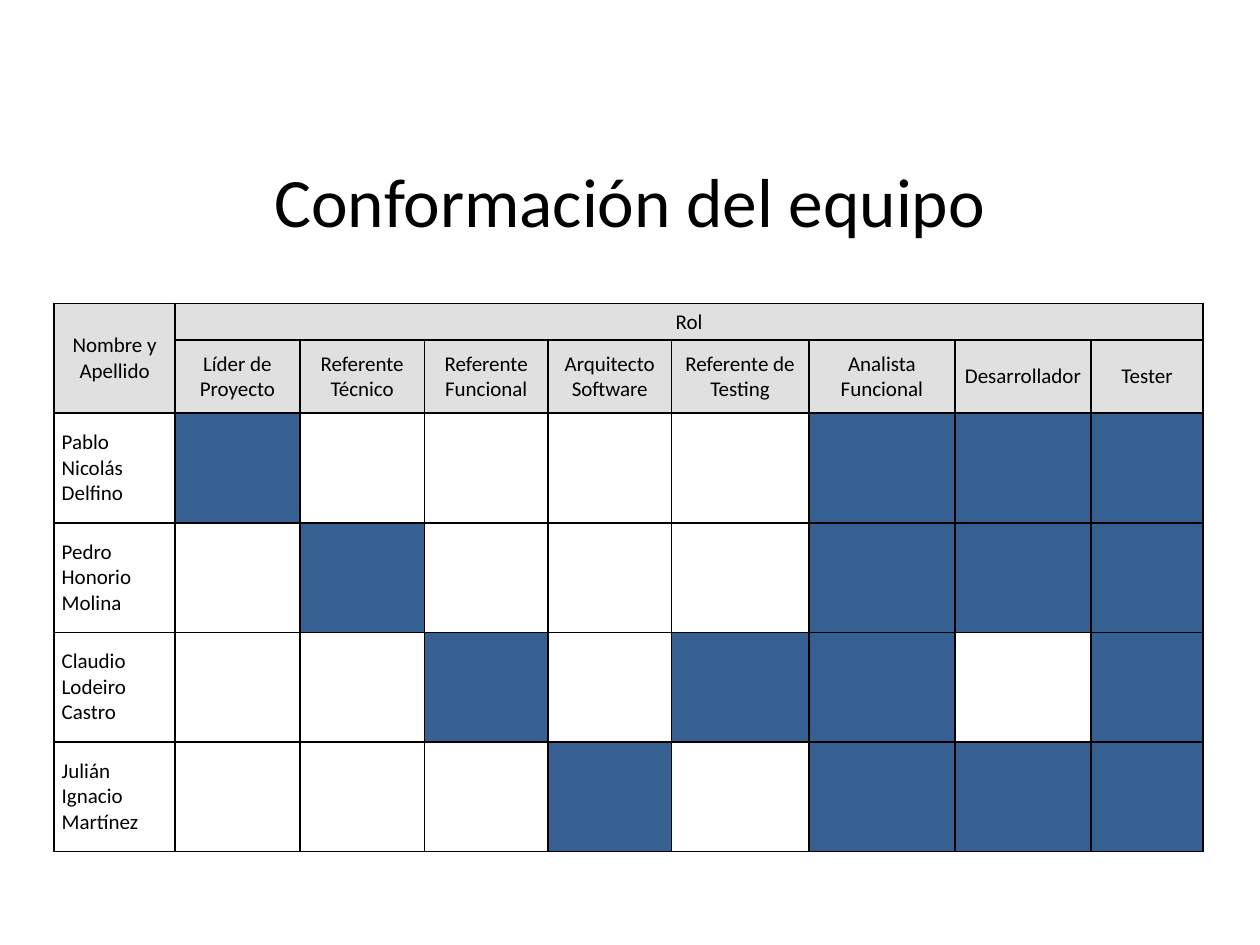
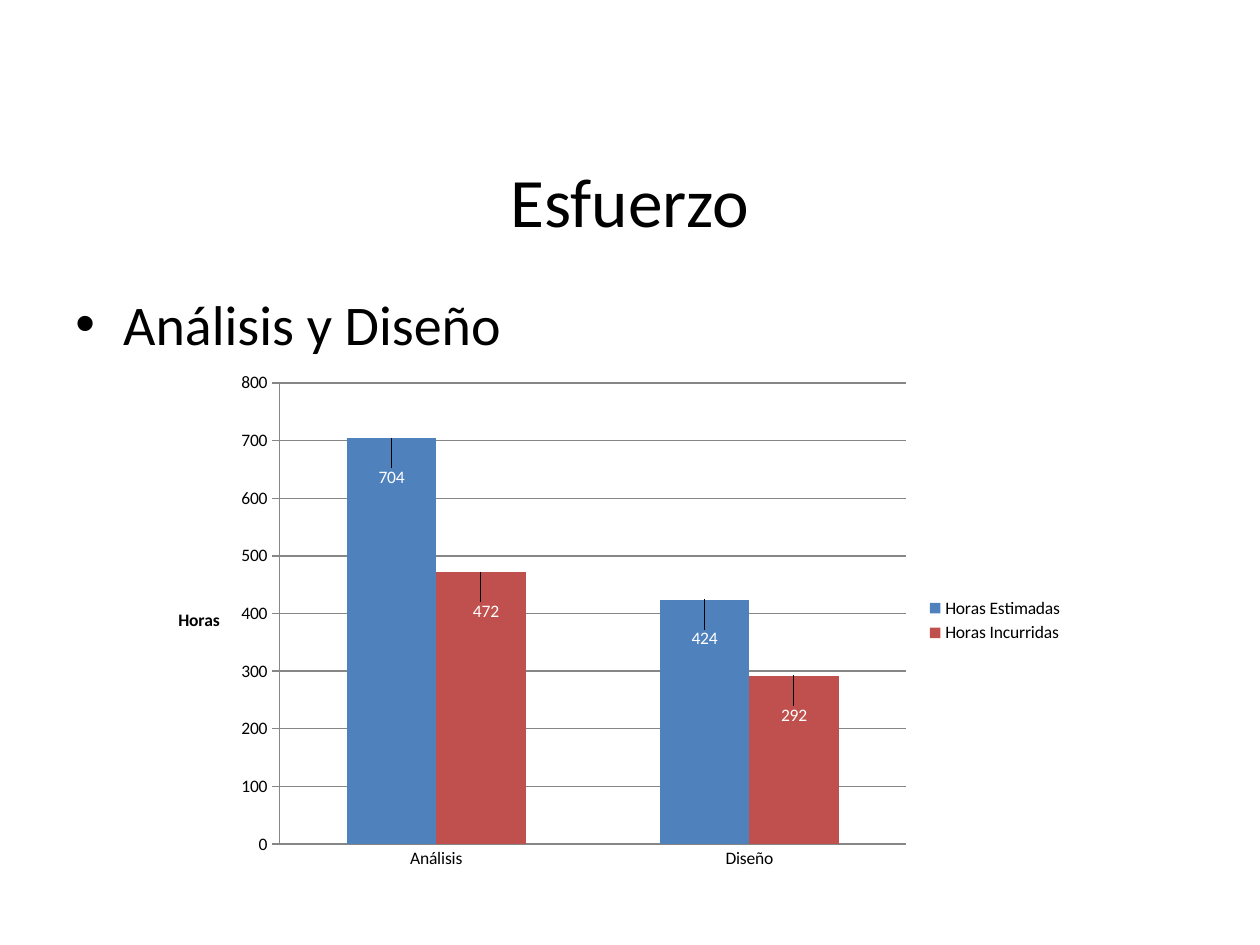
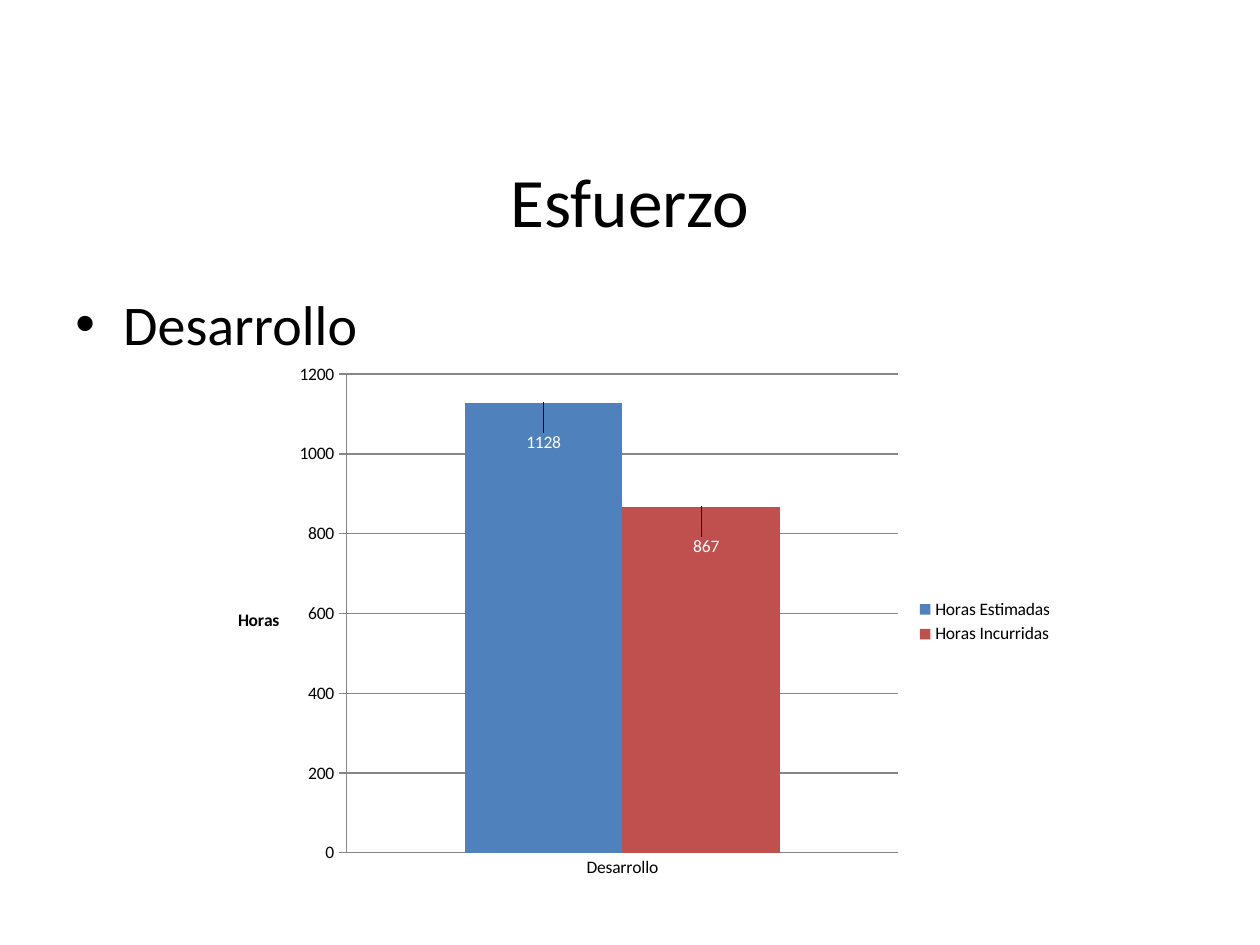
from lxml import etree
from pptx import Presentation
from pptx.chart.data import CategoryChartData
from pptx.dml.color import RGBColor
from pptx.enum.chart import XL_CHART_TYPE, XL_LABEL_POSITION, XL_LEGEND_POSITION, XL_TICK_MARK
from pptx.enum.text import MSO_ANCHOR, MSO_AUTO_SIZE, PP_ALIGN
from pptx.oxml.ns import qn
from pptx.util import Inches, Pt

BLACK = RGBColor(0x00, 0x00, 0x00)
WHITE = RGBColor(0xFF, 0xFF, 0xFF)
HEADER_GRAY = RGBColor(0xE0, 0xE0, 0xE0)
ROLE_BLUE = RGBColor(0x37, 0x60, 0x92)
AXIS_GRAY = RGBColor(0x86, 0x86, 0x86)
SERIES_COLORS = (RGBColor(0x4F, 0x81, 0xBD), RGBColor(0xC0, 0x50, 0x4D))

CENTER, JUSTIFY, LEFT = PP_ALIGN.CENTER, PP_ALIGN.JUSTIFY, PP_ALIGN.LEFT
MIDDLE, TOP = MSO_ANCHOR.MIDDLE, MSO_ANCHOR.TOP
NO_AUTOFIT = MSO_AUTO_SIZE.NONE
CLUSTERED = XL_CHART_TYPE.COLUMN_CLUSTERED
OUTSIDE_END = XL_LABEL_POSITION.OUTSIDE_END
LEGEND_RIGHT = XL_LEGEND_POSITION.RIGHT
TICK_NONE, TICK_CROSS = XL_TICK_MARK.NONE, XL_TICK_MARK.CROSS

TITLE_ONLY = 5
BORDER_TAGS = ("a:lnL", "a:lnR", "a:lnT", "a:lnB")
LABEL_DROP = 0.43
LABEL_SHIFT = 0.04

COLUMN_WIDTHS = (0.96, 0.99, 0.99, 0.98, 0.98, 1.09, 1.16, 1.08, 0.89)
ROW_HEIGHTS = (0.29, 0.58) + (0.87,) * 4
ROLES = ("Líder de Proyecto", "Referente Técnico", "Referente Funcional",
         "Arquitecto Software", "Referente de Testing", "Analista Funcional",
         "Desarrollador", "Tester")
TEAM = (
    ("Pablo\nNicolás\nDelfino", (1, 6, 7, 8)),
    ("Pedro\nHonorio\nMolina", (2, 6, 7, 8)),
    ("Claudio\nLodeiro\nCastro", (3, 5, 6, 8)),
    ("Julián\nIgnacio\nMartínez", (4, 6, 7, 8)),
)
EFFORTS = (
    {"topic": "Análisis y Diseño", "categories": ("Análisis", "Diseño"),
     "estimated": (704, 424), "incurred": (472, 292),
     "box": (1.22, 2.88, 7.32, 4.09), "plot": (2.22, 3.04, 4.97, 3.66)},
    {"topic": "Desarrollo", "categories": ("Desarrollo",),
     "estimated": (1128,), "incurred": (867,),
     "box": (1.69, 2.81, 6.77, 4.25), "plot": (2.75, 2.97, 4.38, 3.8)},
)


def set_values(target, values):
    """Set the attributes of an object from a dict."""
    for name, value in values.items():
        setattr(target, name, value)


def manual_layout(**values):
    """Return a chart layout element with the given values."""
    layout = etree.Element(qn("c:layout"))
    manual = etree.SubElement(layout, qn("c:manualLayout"))
    for name, value in values.items():
        etree.SubElement(manual, qn(f"c:{name}")).set("val", str(value))
    return layout


class Deck:
    """Hold the style and the current slide."""

    font_name = "Calibri"

    def __init__(self):
        """Start an empty presentation."""
        self.presentation = Presentation()
        set_values(self.presentation, {"slide_width": Inches(10), "slide_height": Inches(7.5)})
        self.slide = None

    def format_font(self, font, size, color=BLACK, bold=False):
        """Apply the shared typeface with a size and colour."""
        set_values(font, {"name": self.font_name, "size": Pt(size), "bold": bold})
        font.color.rgb = color

    def fill_text(self, frame, text, size, alignment):
        """Put in formatted text with one paragraph per line."""
        frame.text = text
        for paragraph in frame.paragraphs:
            paragraph.alignment = alignment
            self.format_font(paragraph.runs[0].font, size)

    def add_slide(self, title):
        """Add a slide and place its title."""
        layout = self.presentation.slide_layouts[TITLE_ONLY]
        self.slide = self.presentation.slides.add_slide(layout)
        shape = self.slide.shapes.title
        set_values(shape, {"left": Inches(0.5), "top": Inches(1.31),
                           "width": Inches(9), "height": Inches(0.55)})
        set_values(shape.text_frame, {"word_wrap": True, "auto_size": NO_AUTOFIT,
                                      "vertical_anchor": MIDDLE})
        self.fill_text(shape.text_frame, title, 39.6, CENTER)

    def add_bullet(self, text):
        """Add the bulleted topic below the title."""
        shape = self.slide.shapes.add_textbox(Inches(0.5), Inches(2.25), Inches(9), Inches(4.8))
        set_values(shape.text_frame, {"word_wrap": True, "auto_size": NO_AUTOFIT,
                                      "vertical_anchor": TOP})
        self.fill_text(shape.text_frame, text, 32, LEFT)
        paragraph = shape.text_frame.paragraphs[0]
        paragraph.space_before = Pt(6.4)
        properties = paragraph._p.get_or_add_pPr()
        properties.set("marL", str(Inches(0.38)))
        properties.set("indent", str(-Inches(0.38)))
        etree.SubElement(properties, qn("a:buFont")).set("typeface", "Arial")
        etree.SubElement(properties, qn("a:buChar")).set("char", "•")

    def style_cell(self, cell, fill=None):
        """Give a cell its margins, borders and fill."""
        set_values(cell, {"margin_left": Inches(0.06), "margin_right": Inches(0.06),
                          "margin_top": 0, "margin_bottom": 0, "vertical_anchor": MIDDLE})
        properties = cell._tc.get_or_add_tcPr()
        for tag in BORDER_TAGS:
            line = etree.SubElement(properties, qn(tag), w=str(Pt(1)))
            solid = etree.SubElement(line, qn("a:solidFill"))
            etree.SubElement(solid, qn("a:srgbClr")).set("val", str(BLACK))
        if fill is None:
            cell.fill.background()
        else:
            cell.fill.solid()
            cell.fill.fore_color.rgb = fill

    def add_role_table(self):
        """Add the table of people and their roles."""
        table = self.slide.shapes.add_table(
            len(ROW_HEIGHTS), len(COLUMN_WIDTHS), Inches(0.43), Inches(2.41),
            Inches(sum(COLUMN_WIDTHS)), Inches(sum(ROW_HEIGHTS))).table
        set_values(table, {"first_row": False, "horz_banding": False})
        for column, width in zip(table.columns, COLUMN_WIDTHS):
            column.width = Inches(width)
        for row, height in zip(table.rows, ROW_HEIGHTS):
            row.height = Inches(height)

        headers = {(0, 0): "Nombre y Apellido", (0, 1): "Rol"}
        headers.update({(1, index): role for index, role in enumerate(ROLES, 1)})
        for row in range(2):
            for column in range(len(COLUMN_WIDTHS)):
                self.style_cell(table.cell(row, column), HEADER_GRAY)
        for position, text in headers.items():
            self.fill_text(table.cell(*position).text_frame, text, 12, CENTER)
        table.cell(0, 0).merge(table.cell(1, 0))
        table.cell(0, 1).merge(table.cell(0, len(ROLES)))

        for row, (name, roles) in enumerate(TEAM, 2):
            for column in range(len(COLUMN_WIDTHS)):
                self.style_cell(table.cell(row, column), ROLE_BLUE if column in roles else None)
            self.fill_text(table.cell(row, 0).text_frame, name, 12, JUSTIFY)

    def add_effort_chart(self, effort):
        """Add the chart of estimated and incurred hours."""
        data = CategoryChartData()
        data.categories = effort["categories"]
        data.add_series("Horas Estimadas", effort["estimated"])
        data.add_series("Horas Incurridas", effort["incurred"])
        left, top, width, height = effort["box"]
        chart = self.slide.shapes.add_chart(
            CLUSTERED, *(Inches(value) for value in effort["box"]), data).chart
        set_values(chart, {"has_title": False, "has_legend": True})
        set_values(chart.legend, {"position": LEGEND_RIGHT, "include_in_layout": False})
        self.format_font(chart.font, 10)
        self.style_axes(chart)

        plot = chart.plots[0]
        set_values(plot, {"gap_width": 150, "overlap": 0, "vary_by_categories": False})
        for index, (series, color) in enumerate(zip(plot.series, SERIES_COLORS)):
            series.format.fill.solid()
            series.format.fill.fore_color.rgb = color
            for point in range(len(effort["categories"])):
                shift = LABEL_SHIFT if index == 1 and point == 0 else 0
                self.style_label(series.points[point].data_label,
                                 shift / width, LABEL_DROP / height)

        plot_left, plot_top, plot_width, plot_height = effort["plot"]
        area = chart._chartSpace.chart.plotArea
        for previous in area.findall(qn("c:layout")):
            area.remove(previous)
        area.insert(0, manual_layout(
            layoutTarget="inner", xMode="edge", yMode="edge",
            x=(plot_left - left) / width, y=(plot_top - top) / height,
            w=plot_width / width, h=plot_height / height))

    def style_axes(self, chart):
        """Format both axes and the title of the value axis."""
        value_axis, category_axis = chart.value_axis, chart.category_axis
        set_values(category_axis, {"major_tick_mark": TICK_NONE, "minor_tick_mark": TICK_NONE})
        set_values(value_axis, {"major_tick_mark": TICK_CROSS, "minor_tick_mark": TICK_NONE,
                                "has_major_gridlines": True, "has_title": True})
        for part in (value_axis, category_axis, value_axis.major_gridlines):
            part.format.line.color.rgb = AXIS_GRAY
            part.format.line.width = Pt(0.75)
        frame = value_axis.axis_title.text_frame
        frame.text = "Horas"
        self.format_font(frame.paragraphs[0].runs[0].font, 10, bold=True)
        body = frame._txBody.find(qn("a:bodyPr"))
        body.set("rot", "0")
        body.set("vert", "horz")

    def style_label(self, label, shift, drop):
        """Show a white value moved into its column."""
        self.format_font(label.font, 10, WHITE)
        label.position = OUTSIDE_END
        element = label._dLbl
        element.find(qn("c:idx")).addnext(manual_layout(x=shift, y=drop))


def main():
    """Build the slides and save them."""
    deck = Deck()
    deck.add_slide("Conformación del equipo")
    deck.add_role_table()
    for effort in EFFORTS:
        deck.add_slide("Esfuerzo")
        deck.add_bullet(effort["topic"])
        deck.add_effort_chart(effort)
    deck.presentation.save("out.pptx")


if __name__ == "__main__":
    main()
